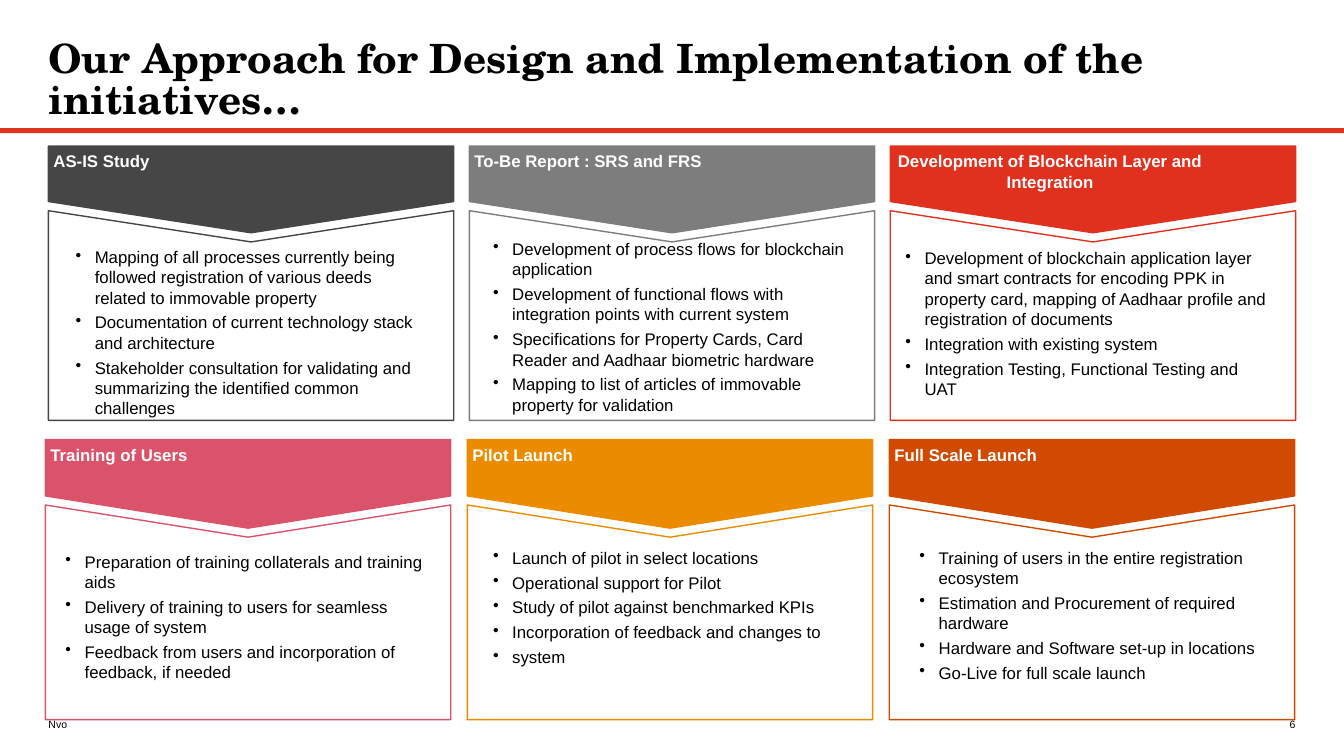
from dataclasses import dataclass

from lxml.etree import SubElement
from pptx import Presentation
from pptx.dml.color import RGBColor
from pptx.enum.shapes import MSO_SHAPE
from pptx.enum.text import MSO_ANCHOR, MSO_AUTO_SIZE, PP_ALIGN
from pptx.oxml.ns import qn
from pptx.util import Inches, Pt


@dataclass(frozen=True)
class Theme:
    heading_font: str = "TeX Gyre Schola"
    body_font: str = "Arial"
    title_size: float = 28.8
    body_size: float = 12
    footer_size: float = 7.5
    ink: str = "000000"
    paper: str = "FFFFFF"
    rule: str = "E0301E"


theme = Theme()
MARGIN = 0.48
CARD_WIDTH = 4.02
BULLET_INDENT = 0.19

# Each row: left, top, column pitch, shoulder, tip, gap below the header, height
ROWS = [
    (0.48, 1.45, 4.175, 0.55, 0.86, 0.09, 2.72),
    (0.45, 4.36, 4.185, 0.56, 0.88, 0.09, 2.78),
]

# Each card: heading, colour, heading alignment, list (left, top, width), points
CARDS = [
    [
        ("AS-IS Study", "464646", PP_ALIGN.LEFT, (0.75, 2.45, 3.42), [
            "Mapping of all processes currently being followed registration of "
            "various deeds related to immovable property",
            "Documentation of current technology stack and architecture",
            "Stakeholder consultation for validating and summarizing the "
            "identified common challenges",
        ]),
        ("To-Be Report : SRS and FRS", "7D7D7D", PP_ALIGN.LEFT, (4.89, 2.37, 3.63), [
            "Development of process flows for blockchain application",
            "Development of functional flows with integration points with current system",
            "Specifications for Property Cards, Card Reader and Aadhaar biometric hardware",
            "Mapping to list of articles of immovable property for validation",
        ]),
        ("Development of Blockchain Layer and Integration", "E0301E", PP_ALIGN.CENTER,
         (8.98, 2.46, 3.63), [
            "Development of blockchain application layer and smart contracts for "
            "encoding PPK in property card, mapping of Aadhaar profile and "
            "registration of documents",
            "Integration with existing system",
            "Integration Testing, Functional Testing and UAT",
        ]),
    ],
    [
        ("Training of Users", "DB536A", PP_ALIGN.LEFT, (0.65, 5.47, 3.63), [
            "Preparation of training collaterals and training aids",
            "Delivery of training to users for seamless usage of system",
            "Feedback from users and incorporation of feedback, if needed",
        ]),
        ("Pilot Launch", "EB8C00", PP_ALIGN.LEFT, (4.89, 5.43, 3.43), [
            "Launch of pilot in select locations",
            "Operational support for Pilot",
            "Study of pilot against benchmarked KPIs",
            "Incorporation of feedback and changes to",
            "system",
        ]),
        ("Full Scale Launch", "D04A02", PP_ALIGN.LEFT, (9.12, 5.43, 3.43), [
            "Training of users in the entire registration ecosystem",
            "Estimation and Procurement of required hardware",
            "Hardware and Software set-up in locations",
            "Go-Live for full scale launch",
        ]),
    ],
]


def draw_outline(page, points, color, filled):
    """Draw a closed polygon through points given in inches."""
    corners = [(Inches(x), Inches(y)) for x, y in points]
    builder = page.shapes.build_freeform(*corners[0])
    builder.add_line_segments(corners[1:], close=True)
    shape = builder.convert_to_shape()
    shape.shadow.inherit = False
    shape.line.color.rgb = RGBColor.from_string(color)
    shape.line.width = Pt(1)
    if filled:
        shape.fill.solid()
        shape.fill.fore_color.rgb = RGBColor.from_string(color)
    else:
        shape.fill.background()
    return shape


def write_text(shape, lines, size, color, font=theme.body_font, bold=False,
               align=PP_ALIGN.LEFT, anchor=MSO_ANCHOR.TOP, inset=0):
    frame = shape.text_frame
    frame.text = "\n".join(lines)
    frame.word_wrap = True
    frame.auto_size = MSO_AUTO_SIZE.NONE
    frame.vertical_anchor = anchor
    frame.margin_left = frame.margin_right = Inches(inset)
    frame.margin_top = frame.margin_bottom = Inches(inset)
    for para in frame.paragraphs:
        para.alignment = align
        for span in para.runs:
            span.font.name = font
            span.font.size = Pt(size)
            span.font.bold = bold
            span.font.color.rgb = RGBColor.from_string(color)
    return frame


deck = Presentation()
deck.slide_width, deck.slide_height = Inches(13.33), Inches(7.5)
page = deck.slides.add_slide(deck.slide_layouts.get_by_name("Title Only"))

title = page.shapes.title
title.left, title.top = Inches(MARGIN), Inches(0.4)
title.width, title.height = Inches(12.36), Inches(0.8)
title_frame = write_text(
    title, ["Our Approach for Design and Implementation of the initiatives…"],
    theme.title_size, theme.ink, theme.heading_font, bold=True)
title_frame.paragraphs[0].line_spacing = 0.85

rule = page.shapes.add_shape(
    MSO_SHAPE.RECTANGLE, 0, Inches(1.27), deck.slide_width, Inches(0.05))
rule.shadow.inherit = False
rule.fill.solid()
rule.fill.fore_color.rgb = RGBColor.from_string(theme.rule)
rule.line.fill.background()

for (row_left, top, pitch, shoulder, tip, gap, height), cards in zip(ROWS, CARDS):
    for column, (heading, color, align, place, points) in enumerate(cards):
        left = row_left + column * pitch
        middle, right = left + CARD_WIDTH / 2, left + CARD_WIDTH
        chevron = [(left, top + shoulder), (middle, top + tip), (right, top + shoulder)]
        notch = [(x, y + gap) for x, y in chevron]

        header = draw_outline(page, [(left, top), *chevron, (right, top)], color, True)
        header_frame = write_text(header, [heading], theme.body_size, theme.paper,
                                  bold=True, align=align, inset=0.05)
        header_frame.margin_right = Inches(0.9)
        draw_outline(
            page, [(left, top + height), *notch, (right, top + height)], color, False)

        list_left, list_top, list_width = place
        box = page.shapes.add_textbox(Inches(list_left), Inches(list_top),
                                      Inches(list_width), Inches(1.45))
        list_frame = write_text(box, points, theme.body_size, theme.ink)
        for para in list_frame.paragraphs:
            para.space_after = Pt(3.4)
            properties = para._p.get_or_add_pPr()
            properties.set("marL", str(Inches(BULLET_INDENT)))
            properties.set("indent", str(-Inches(BULLET_INDENT)))
            SubElement(properties, qn("a:buChar")).set("char", "•")

for text, left, width, align in [("Nvo", MARGIN, 5.99, PP_ALIGN.LEFT),
                                 ("6", 10.92, 1.93, PP_ALIGN.RIGHT)]:
    footer = page.shapes.add_textbox(Inches(left), Inches(7.1), Inches(width), Inches(0.15))
    write_text(footer, [text], theme.footer_size, theme.ink,
               align=align, anchor=MSO_ANCHOR.BOTTOM)

deck.save("out.pptx")
